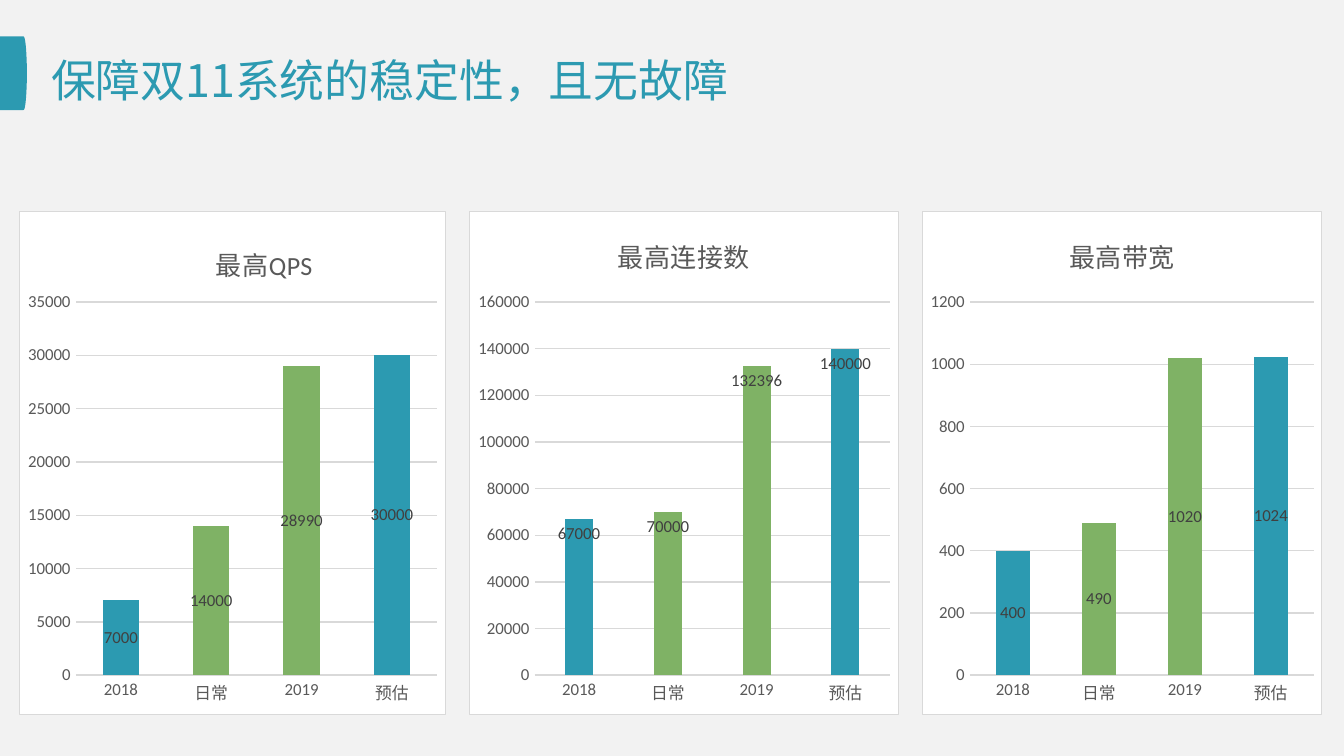
from lxml import etree
from pptx import Presentation
from pptx.chart.data import CategoryChartData
from pptx.dml.color import RGBColor
from pptx.enum.chart import XL_CHART_TYPE as CT, XL_LABEL_POSITION as LP, XL_TICK_MARK as TM
from pptx.enum.shapes import MSO_SHAPE
from pptx.enum.text import MSO_ANCHOR, PP_ALIGN
from pptx.oxml import parse_xml
from pptx.oxml.ns import nsdecls, qn
from pptx.util import Inches, Pt

TEAL, GREEN, GRID, GRAY, DARK = "2C9AB1", "7FB265", "D9D9D9", "595959", "404040"


def rgb(value):
    return RGBColor.from_string(value)


class Deck:
    """Holds the style and the current slide."""
    latin, cjk = "Calibri", "Noto Sans CJK SC"

    def __init__(self, width):
        self.prs = Presentation()
        self.prs.slide_width = Inches(width)
        self.prs.slide_height = Inches(width * 9 / 16)

    def add_slide(self, color):
        self.s = self.prs.slides.add_slide(self.prs.slide_layouts[5])
        fill = self.s.background.fill
        fill.solid()
        fill.fore_color.rgb = rgb(color)

    def font(self, font, size, color, name=None):
        font.size, font.name = Pt(size), name or self.latin
        font.bold = False
        font.color.rgb = rgb(color)

    def line(self, line, color=GRID):
        line.width = Pt(0.75)
        line.color.rgb = rgb(color)

    def shape(self, kind, box, color):
        sp = self.s.shapes.add_shape(kind, *map(Inches, box))
        sp.shadow.inherit = False
        sp.fill.solid()
        sp.fill.fore_color.rgb = rgb(color)
        sp.line.fill.background()

    def title(self, text, box):
        sp = self.s.shapes.title
        sp.left, sp.top, sp.width, sp.height = map(Inches, box)
        tf = sp.text_frame
        tf.word_wrap, tf.vertical_anchor = True, MSO_ANCHOR.MIDDLE
        p = tf.paragraphs[0]
        p.alignment = PP_ALIGN.LEFT
        r = p.add_run()
        r.text = text
        self.font(r.font, 24, TEAL, self.cjk)
        ea = etree.SubElement(r.font._element, qn("a:ea"))
        ea.set("typeface", self.cjk)

    def chart(self, kind, box, title, values, gap, overlap, label_pos, title_at=None):
        data = CategoryChartData()
        data.categories = ["2018", "日常", "2019", "预估"]
        data.add_series("Series 1", values)
        chart = self.s.shapes.add_chart(kind, *map(Inches, box), data).chart
        chart.has_legend = False
        self.font(chart.font, 10, "000000")

        # Title, placed by hand where a position is given
        chart.has_title = True
        r = chart.chart_title.text_frame.paragraphs[0].add_run()
        r.text = title
        self.font(r.font, 14, GRAY)
        if title_at:
            x, y = title_at
            element = chart.chart_title._element
            for old in element.findall(qn("c:layout")):
                element.remove(old)
            element.find(qn("c:tx")).addnext(parse_xml(
                f'<c:layout {nsdecls("c")}><c:manualLayout>'
                '<c:xMode val="edge"/><c:yMode val="edge"/>'
                f'<c:x val="{x}"/><c:y val="{y}"/></c:manualLayout></c:layout>'))

        # Axes
        for axis in (chart.category_axis, chart.value_axis):
            axis.major_tick_mark = axis.minor_tick_mark = TM.NONE
            self.font(axis.tick_labels.font, 9, GRAY)
        self.line(chart.category_axis.format.line)
        chart.value_axis.format.line.fill.background()
        self.line(chart.value_axis.major_gridlines.format.line)

        # Columns and their labels
        plot = chart.plots[0]
        plot.gap_width, plot.overlap, plot.vary_by_categories = gap, overlap, False
        series = plot.series[0]
        series.format.fill.solid()
        series.format.fill.fore_color.rgb = rgb(TEAL)
        for i, color in enumerate((GREEN, GREEN, TEAL), start=1):
            fill = series.points[i].format.fill
            fill.solid()
            fill.fore_color.rgb = rgb(color)
        labels = series.data_labels
        labels.show_value, labels.position = True, label_pos
        self.font(labels.font, 9, DARK)

        # White panel with a thin border
        chart._chartSpace.find(qn("c:chart")).addnext(parse_xml(
            f'<c:spPr {nsdecls("c", "a")}>'
            '<a:solidFill><a:srgbClr val="FFFFFF"/></a:solidFill>'
            f'<a:ln w="{Pt(0.75)}"><a:solidFill><a:srgbClr val="{GRID}"/></a:solidFill></a:ln>'
            '</c:spPr>'))


def main():
    deck = Deck(10)
    deck.add_slide("F2F2F2")

    # Heading with its side tab
    deck.shape(MSO_SHAPE.RECTANGLE, (0, 0.27, 0.17, 0.55), TEAL)
    deck.shape(MSO_SHAPE.OVAL, (0.15, 0.27, 0.05, 0.55), TEAL)
    deck.title("保障双11系统的稳定性，且无故障", (0.28, 0.29, 9, 0.6))

    # Three charts side by side
    stacked = (CT.COLUMN_STACKED, 150, 100, LP.CENTER)
    clustered = (CT.COLUMN_CLUSTERED, 219, -27, LP.INSIDE_END)
    for left, width, title, values, (kind, gap, overlap, pos), title_at in (
        (0.14, 3.18, "最高QPS", (7000, 14000, 28990, 30000), stacked, (0.45, 0.05)),
        (3.49, 3.2, "最高连接数", (67000, 70000, 132396, 140000), clustered, None),
        (6.86, 2.98, "最高带宽", (400, 490, 1020, 1024), stacked, None),
    ):
        deck.chart(kind, (left, 1.57, width, 3.75), title, values, gap, overlap, pos, title_at)

    deck.prs.save("out.pptx")


if __name__ == "__main__":
    main()
